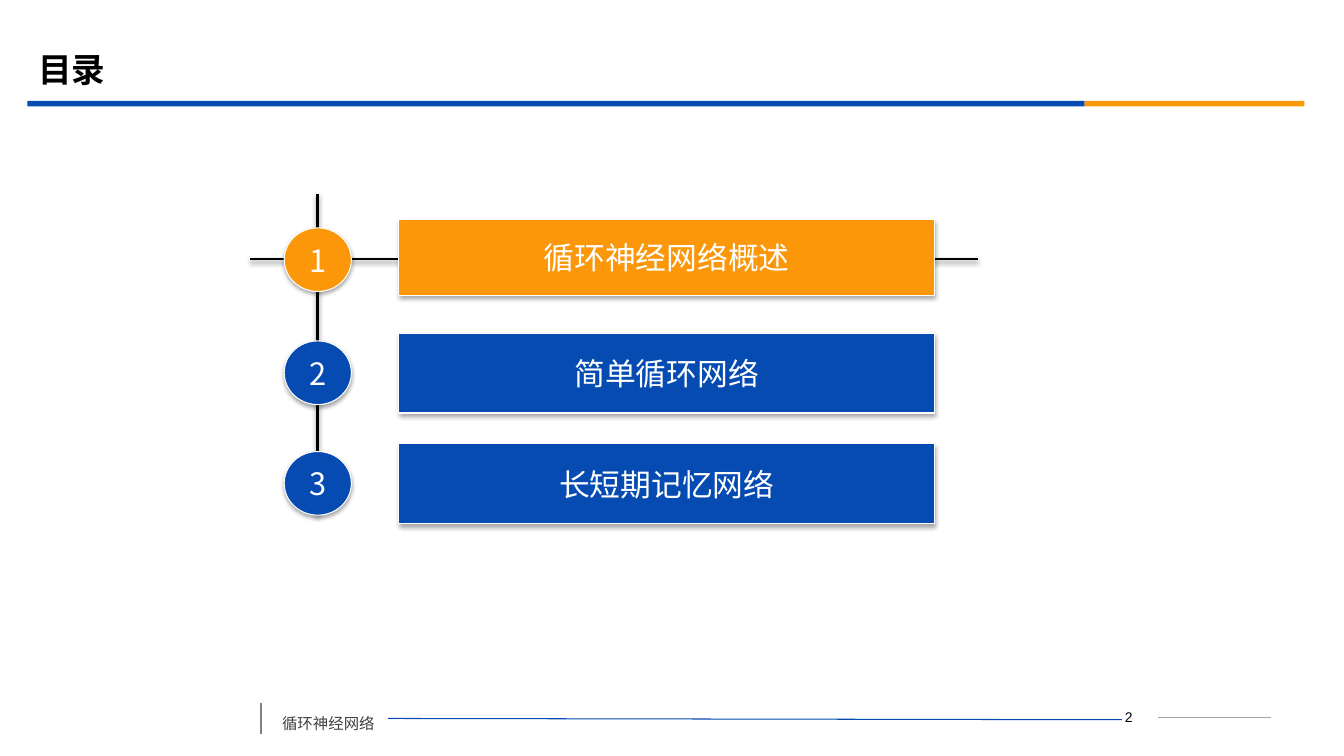
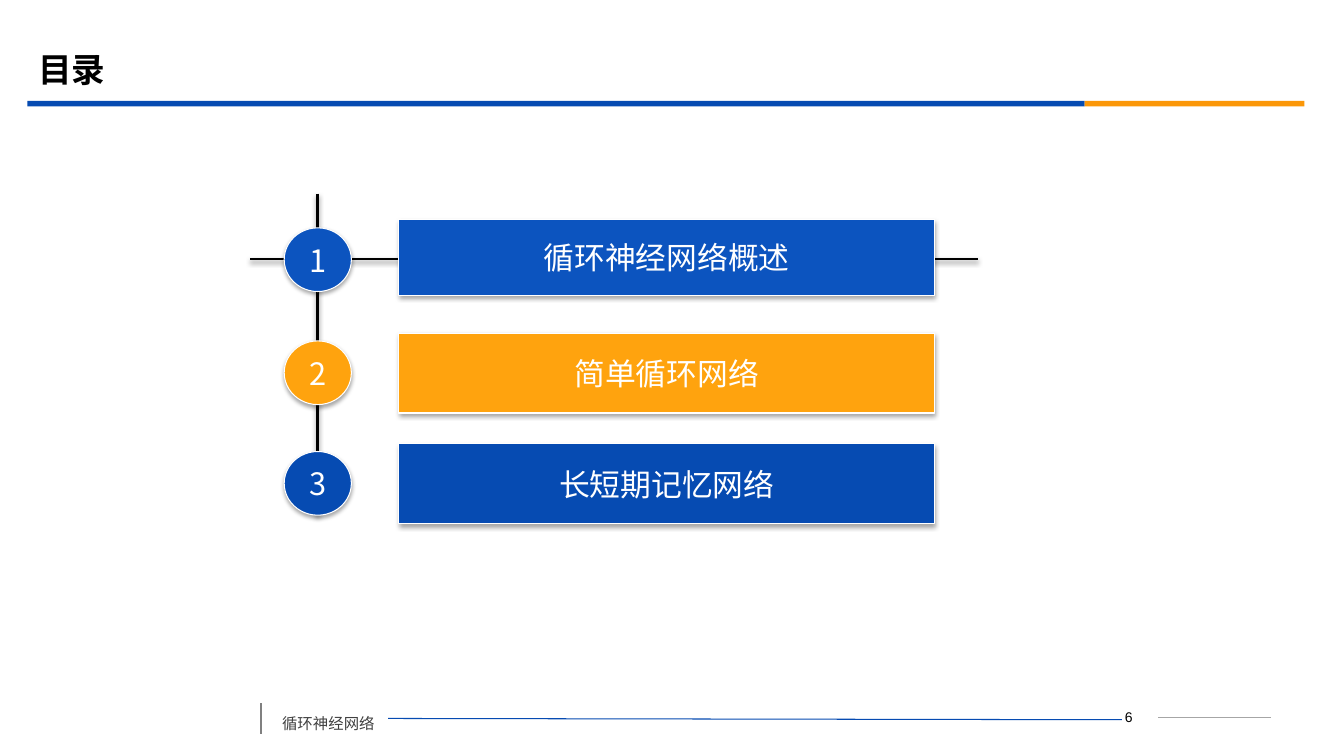
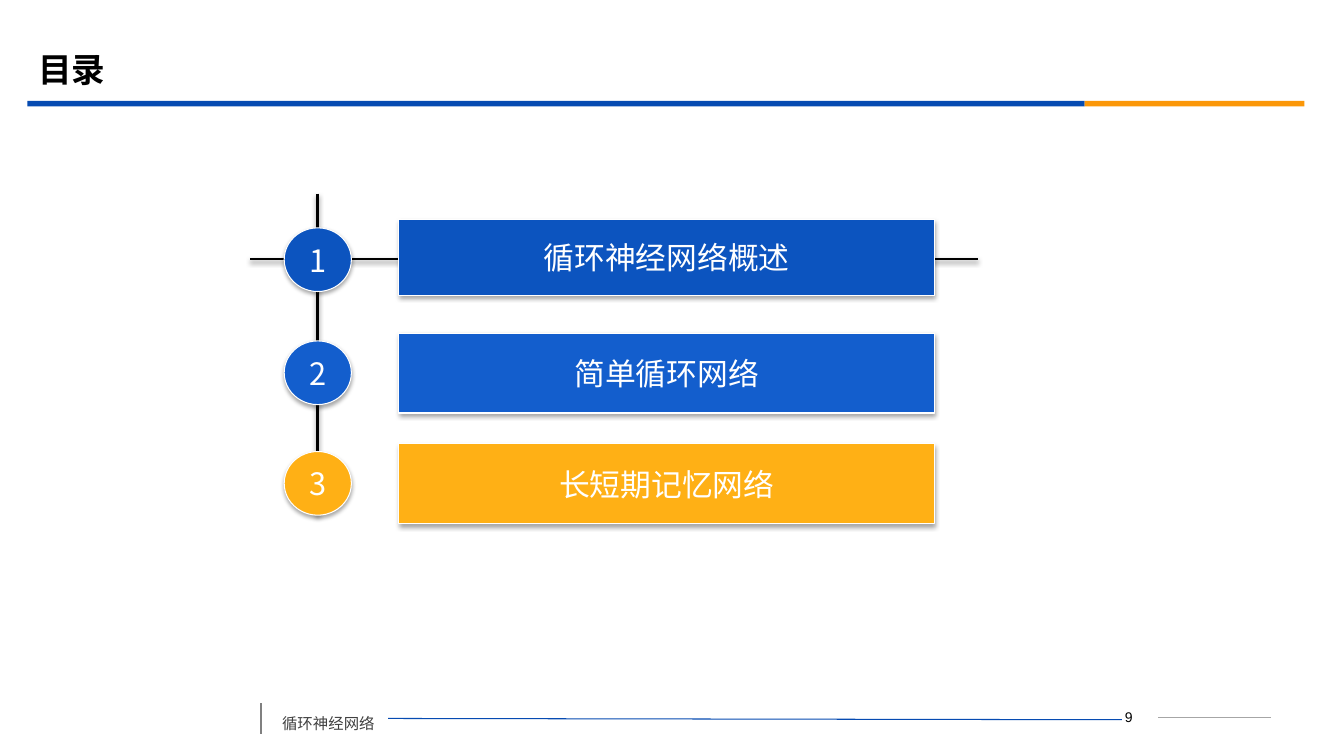
from lxml import etree
from pptx import Presentation
from pptx.dml.color import RGBColor
from pptx.enum.shapes import MSO_CONNECTOR, MSO_SHAPE
from pptx.enum.text import MSO_ANCHOR, MSO_AUTO_SIZE, PP_ALIGN
from pptx.oxml.ns import qn
from pptx.util import Pt

STRAIGHT = MSO_CONNECTOR.STRAIGHT
RECTANGLE, OVAL = MSO_SHAPE.RECTANGLE, MSO_SHAPE.OVAL
BUTTON = MSO_SHAPE.ACTION_BUTTON_CUSTOM
LEFT, CENTER = PP_ALIGN.LEFT, PP_ALIGN.CENTER
MIDDLE, NO_AUTOFIT = MSO_ANCHOR.MIDDLE, MSO_AUTO_SIZE.NONE

# Content
TITLE = "目录"
FOOTER = "循环神经网络"
SANS = "Noto Sans CJK SC"
CHAPTERS = [  # label, font, button top, button height, circle top
    {"label": "循环神经网络概述", "font": SANS, "top": 157, "height": 54,
     "circle": 162.75, "active": "FB9708", "visited": "0C54BF"},
    {"label": "简单循环网络", "font": "Arial", "top": 238, "height": 57,
     "circle": 243.5, "active": "FFA30E", "visited": "135ECD"},
    {"label": "长短期记忆网络", "font": "Arial", "top": 317, "height": 57,
     "circle": 322.5, "active": "FFB015", "visited": "064BB2"},
]
PAGES = [(2, 0), (6, 1), (9, 2)]  # page number, active chapter

# Shared style
BLUE, ORANGE, WHITE, BLACK = "064BB2", "FB9708", "FFFFFF", "000000"
BANDS = [(19.5, 755.3, BLUE), (774.8, 157, ORANGE)]  # left, width, colour
FOOTER_LINES = [  # start, end, colour, weight
    ((827.3, 512.6), (908, 512.6), "A6A6A6", 0.75),
    ((186.5, 502.5), (186.5, 524.2), "808080", 1.25),
    ((277.2, 513.2), (801.4, 514.1), BLUE, 0.75),
]
AXES = [((226.8, 138.4), (226.8, 368)), ((178.6, 185), (698.4, 185))]
TITLE_FORMAT = {"name": "Montserrat", "size": Pt(24), "bold": True}
FOOTER_FORMAT = {"name": SANS, "size": Pt(11)}
NUMBER_FORMAT = {"name": "Arial", "size": Pt(10)}


def rgb(color):
    return RGBColor.from_string(color)


def set_text(shape, text, font_format, color, alignment=CENTER, wrap=False):
    frame = shape.text_frame
    frame.auto_size = NO_AUTOFIT
    frame.word_wrap = wrap
    frame.vertical_anchor = MIDDLE
    paragraph = frame.paragraphs[0]
    paragraph.alignment = alignment
    run = paragraph.add_run()
    run.text = text
    for name, value in font_format.items():
        setattr(run.font, name, value)
    run.font.color.rgb = rgb(color)
    latin = run.font.element.find(qn("a:latin")) if hasattr(run.font, "element") else None
    properties = latin.getparent() if latin is not None else run._r.get_or_add_rPr()
    etree.SubElement(properties, qn("a:ea")).set("typeface", SANS)


def add_shadow(effects, distance, opacity):
    shadow = etree.SubElement(effects, qn("a:outerShdw"), {
        "blurRad": str(Pt(3.15)), "dist": str(Pt(distance)),
        "dir": "5400000", "rotWithShape": "0"})
    color = etree.SubElement(shadow, qn("a:srgbClr"), val=BLACK)
    etree.SubElement(color, qn("a:alpha"), val=str(opacity * 1000))


def add_line(slide, start, end, color, weight):
    line = slide.shapes.add_connector(STRAIGHT, *map(Pt, start + end))
    line.line.color.rgb = rgb(color)
    line.line.width = Pt(weight)
    effects = etree.SubElement(line.element.spPr, qn("a:effectLst"))
    return line, effects


def add_box(slide, kind, bounds, color):
    shape = slide.shapes.add_shape(kind, *map(Pt, bounds))
    shape.shadow.inherit = False
    shape.fill.solid()
    shape.fill.fore_color.rgb = rgb(color)
    shape.line.fill.background()
    return shape


def add_marker(slide, kind, bounds, color, text, font):
    shape = add_box(slide, kind, bounds, color)
    shape.line.color.rgb = rgb(WHITE)
    shape.line.width = Pt(0.75)
    add_shadow(shape.element.spPr.find(qn("a:effectLst")), 1.8, 35)
    set_text(shape, text, {"name": font, "size": Pt(22)}, WHITE)


def prepare_layout(layout):
    for placeholder in list(layout.placeholders):
        if placeholder.placeholder_format.idx:
            layout.shapes.element.remove(placeholder.element)
    title = layout.placeholders[0]
    title.left, title.top, title.width, title.height = map(Pt, (20, 28, 864, 42))


def add_frame(slide):
    """Draw bands and footer, then move them to the layout."""
    parts = [add_box(slide, RECTANGLE, (left, 72, width, 4), color)
             for left, width, color in BANDS]
    parts += [add_line(slide, *line)[0] for line in FOOTER_LINES]
    footer = slide.shapes.add_textbox(*map(Pt, (194.4, 503, 82.8, 27)))
    set_text(footer, FOOTER, FOOTER_FORMAT, "404040", LEFT)
    for part in parts + [footer]:
        slide.slide_layout.shapes.element.append(part.element)


def add_contents(slide, active):
    for start, end in AXES:
        _, effects = add_line(slide, start, end, BLACK, 2)
        add_shadow(effects, 1.6, 38)
    for index, chapter in enumerate(CHAPTERS):
        if index == active:
            color = chapter["active"]
        else:
            color = chapter["visited"] if index < active else BLUE
        add_marker(slide, OVAL, (203, chapter["circle"], 48, 45.5), color,
                   str(index + 1), SANS)
        add_marker(slide, BUTTON, (285, chapter["top"], 382.5, chapter["height"]),
                   color, chapter["label"], chapter["font"])


def main():
    presentation = Presentation()
    presentation.slide_width, presentation.slide_height = Pt(960), Pt(540)
    layout = presentation.slide_layouts[5]
    prepare_layout(layout)
    for position, (page, active) in enumerate(PAGES):
        slide = presentation.slides.add_slide(layout)
        if position == 0:
            add_frame(slide)
        set_text(slide.shapes.title, TITLE, TITLE_FORMAT, BLACK, LEFT, True)
        add_contents(slide, active)
        number = slide.shapes.add_textbox(*map(Pt, (784, 503.3, 44.6, 18)))
        set_text(number, str(page), NUMBER_FORMAT, BLACK)
    presentation.save("out.pptx")


if __name__ == "__main__":
    main()
